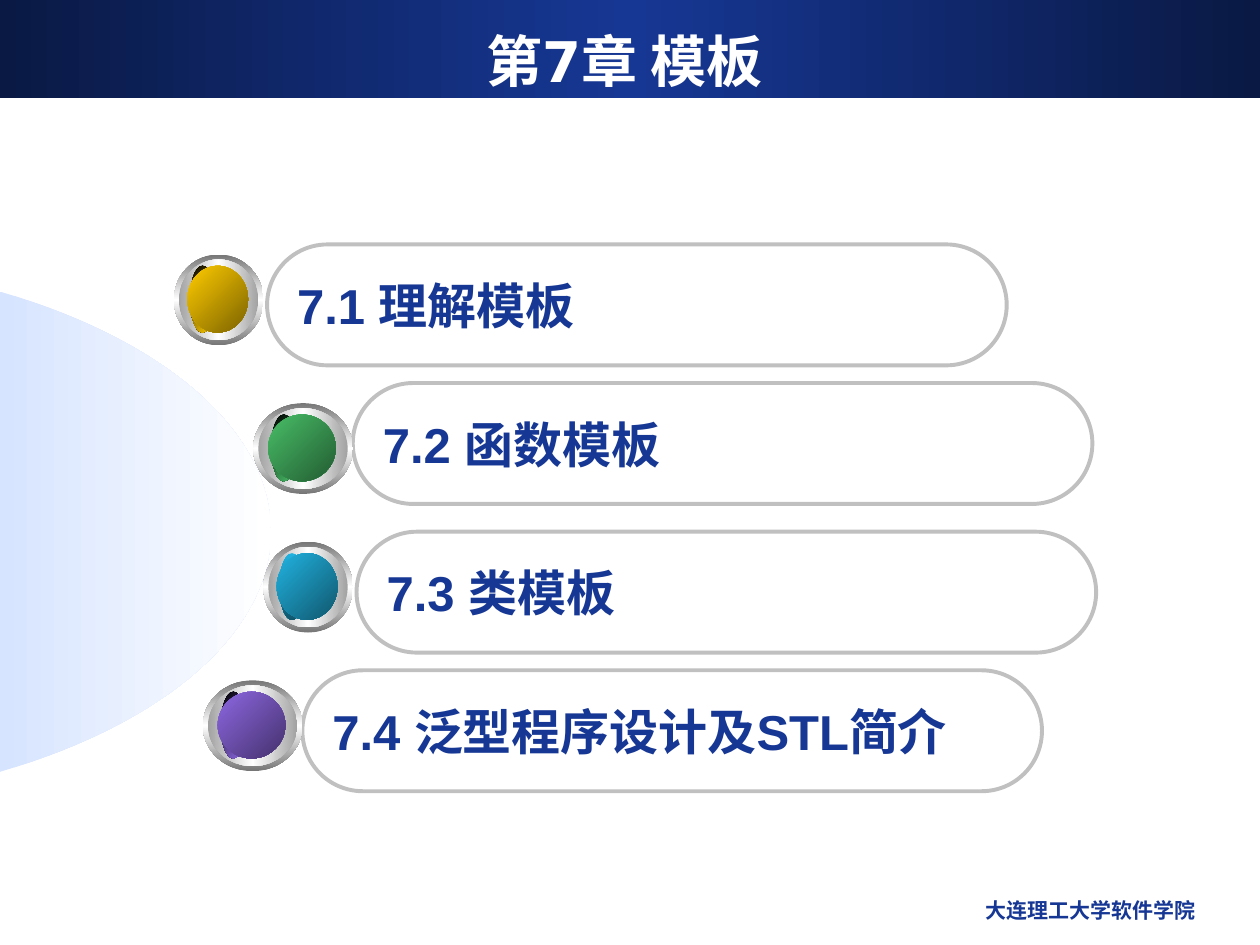
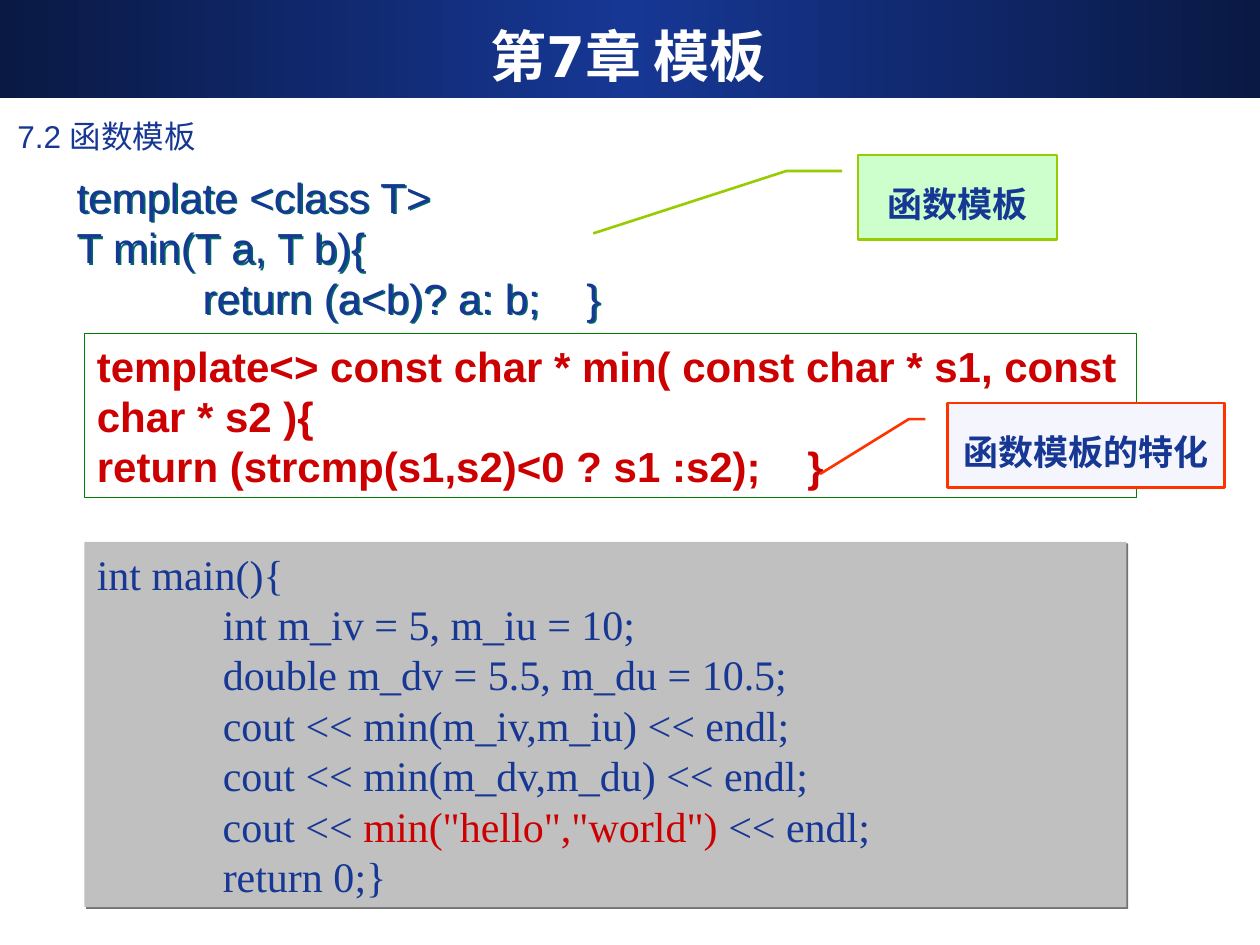
from dataclasses import dataclass
from math import cos, radians, sin
from typing import Optional

from lxml import etree
from pptx import Presentation
from pptx.dml.color import RGBColor
from pptx.enum import shapes, text
from pptx.oxml.ns import qn
from pptx.util import Inches, Pt

NAVY = RGBColor(0x16, 0x37, 0x94)
DARK_NAVY = RGBColor(0x0A, 0x19, 0x44)
WHITE = RGBColor(0xFF, 0xFF, 0xFF)
BLACK = RGBColor(0x00, 0x00, 0x00)
PALE_BLUE = RGBColor(0xD6, 0xE4, 0xFF)
SILVER = RGBColor(0xC0, 0xC0, 0xC0)
RIM_GRAY = RGBColor(0x76, 0x76, 0x76)
RING_GRAY = RGBColor(0xA2, 0xA2, 0xA2)
SHADOW_GRAY = RGBColor(0x73, 0x73, 0x73)
SHADOW_TEAL = RGBColor(0x00, 0x66, 0x66)
RED = RGBColor(0xCC, 0x00, 0x00)
GREEN = RGBColor(0x00, 0x80, 0x00)
LIME = RGBColor(0x99, 0xCC, 0x00)
MINT = RGBColor(0xCC, 0xFF, 0xCC)
ORANGE = RGBColor(0xFF, 0x33, 0x00)
LAVENDER = RGBColor(0xF5, 0xF6, 0xFD)
GOLD = RGBColor(0xFF, 0xCC, 0x00)
DARK_GOLD = RGBColor(0x7C, 0x63, 0x00)
LEAF = RGBColor(0x48, 0xBE, 0x67)
DARK_LEAF = RGBColor(0x23, 0x5C, 0x32)
CYAN = RGBColor(0x21, 0xB3, 0xE1)
DARK_CYAN = RGBColor(0x10, 0x57, 0x6D)
VIOLET = RGBColor(0x8D, 0x67, 0xE1)
DARK_VIOLET = RGBColor(0x45, 0x32, 0x6D)

CHAPTER = "第7章 模板"
LEFT, CENTER, RIGHT = text.PP_ALIGN.LEFT, text.PP_ALIGN.CENTER, text.PP_ALIGN.RIGHT
TOP, MIDDLE = text.MSO_ANCHOR.TOP, text.MSO_ANCHOR.MIDDLE


@dataclass(frozen=True)
class Box:
    """A rectangle on the slide, in inches."""

    left: float
    top: float
    width: float
    height: float

    def lengths(self) -> list:
        """Return the four measures as lengths."""
        return [Inches(v) for v in (self.left, self.top, self.width, self.height)]


@dataclass(frozen=True)
class Style:
    """How the text of one box is set."""

    size: float
    color: RGBColor = NAVY
    bold: bool = False
    font: str = "Arial"
    align: text.PP_ALIGN = LEFT
    anchor: text.MSO_ANCHOR = TOP
    wrap: bool = True
    spacing: Optional[float] = None


@dataclass(frozen=True)
class Section:
    """One entry of the chapter outline with its round button."""

    title: str
    pill_left: float
    pill_top: float
    button_left: float
    button_top: float
    button_width: float
    light: RGBColor
    dark: RGBColor
    edge: tuple
    edge_angle: int = 45


@dataclass(frozen=True)
class Callout:
    """A bordered label with a bent leader line."""

    label: str
    box: Box
    fill: RGBColor
    line: RGBColor
    leader: tuple


TITLE = Style(32, WHITE, True, "DejaVu Sans", CENTER, MIDDLE)
FOOTER = Style(12, bold=True, align=RIGHT)
PILL = Style(28, bold=True, anchor=MIDDLE, wrap=False)
SECTION_LABEL = Style(18)
TEMPLATE_CODE = Style(24, anchor=MIDDLE)
SPECIAL_CODE = Style(24, RED, True)
MAIN_CODE = Style(24, font="Times New Roman", anchor=MIDDLE)
CALLOUT = Style(20, bold=True, font="Times New Roman", align=CENTER, spacing=1.5)

SECTIONS = [
    Section("7.1 理解模板", 2.12, 1.94, 1.38, 2.02, 0.71, GOLD, DARK_GOLD, (BLACK, GOLD)),
    Section("7.2 函数模板", 2.8, 3.04, 2.01, 3.2, 0.79, LEAF, DARK_LEAF, (BLACK, LEAF)),
    Section("7.3 类模板", 2.83, 4.22, 2.09, 4.3, 0.71, CYAN, DARK_CYAN, (CYAN, DARK_CYAN), 90),
    Section("7.4 泛型程序设计及STL简介", 2.4, 5.32, 1.61, 5.4, 0.79, VIOLET, DARK_VIOLET,
            (BLACK, VIOLET)),
]

CALLOUTS = [
    Callout("函数模板", Box(6.81, 1.23, 1.58, 0.67), MINT, LIME,
            (0.19, -0.08, 0.19, -0.36, 0.93, -1.33)),
    Callout("函数模板的特化", Box(7.52, 3.2, 2.2, 0.67), LAVENDER, ORANGE,
            (0.19, -0.08, 0.19, -0.14, 0.84, -0.46)),
]

TEMPLATE_LINES = ["template <class T>", "T min(T a, T b){", "\treturn (a<b)? a: b;    }"]
SPECIAL_LINES = [
    "template<> const char * min( const char * s1, const char * s2 ){",
    "return (strcmp(s1,s2)<0 ? s1 :s2);    }",
]
HIGHLIGHT = 'min("hello","world")'
MAIN_LINES = [
    "int main(){",
    "\tint m_iv = 5, m_iu = 10;",
    "\tdouble m_dv = 5.5, m_du = 10.5;",
    "\tcout << min(m_iv,m_iu) << endl;",
    "\tcout << min(m_dv,m_du) << endl;",
    f"            cout << {HIGHLIGHT} << endl;",
    "\treturn 0;}",
]


def add_color(parent, color: RGBColor) -> None:
    """Append a plain colour element."""
    etree.SubElement(parent, qn("a:srgbClr"), val=str(color))


def paint_gradient(shape, colors: tuple, angle: int = 0) -> None:
    """Fill a shape with evenly spaced colours, without an outline."""
    shape.shadow.inherit = False
    shape.line.fill.background()
    shape.fill.gradient()
    gradient = shape._element.spPr.find(qn("a:gradFill"))
    gradient.clear()
    stops = etree.SubElement(gradient, qn("a:gsLst"))
    for index, color in enumerate(colors):
        position = 100000 * index // (len(colors) - 1)
        add_color(etree.SubElement(stops, qn("a:gs"), pos=str(position)), color)
    etree.SubElement(gradient, qn("a:lin"), ang=str(angle * 60000), scaled="0")


def cast_shadow(shape, color: RGBColor) -> None:
    """Give a shape a sharp shadow to its lower right."""
    shape.shadow.inherit = False
    effects = shape._element.spPr.find(qn("a:effectLst"))
    shadow = etree.SubElement(effects, qn("a:outerShdw"), dist=str(Pt(1.4)),
                              dir=str(45 * 60000), algn="ctr", rotWithShape="0")
    add_color(shadow, color)


def add_tab_stop(paragraph) -> None:
    """Set the code indent one inch in."""
    tabs = etree.SubElement(paragraph._p.get_or_add_pPr(), qn("a:tabLst"))
    etree.SubElement(tabs, qn("a:tab"), pos=str(Inches(1)), algn="l")


def write(shape, lines: list, style: Style, highlight: str = "") -> None:
    """Write lines into a shape, with one optional phrase in red."""
    frame = shape.text_frame
    frame.word_wrap = style.wrap
    frame.vertical_anchor = style.anchor
    for index, line in enumerate(lines):
        paragraph = frame.add_paragraph() if index else frame.paragraphs[0]
        if line.startswith("\t"):
            add_tab_stop(paragraph)
        paragraph.alignment = style.align
        if style.spacing:
            paragraph.line_spacing = style.spacing
        font = paragraph.font
        font.name, font.size, font.bold = style.font, Pt(style.size), style.bold
        font.color.rgb = style.color
        parts = line.partition(highlight) if highlight else (line,)
        for part in filter(None, parts):
            run = paragraph.add_run()
            run.text = part
            if part == highlight:
                run.font.color.rgb = RED


def add_text(slide, box: Box, lines: list, style: Style):
    """Add a text box and return it."""
    shape = slide.shapes.add_textbox(*box.lengths())
    write(shape, lines, style)
    return shape


def add_panel(slide, kind, box: Box, fill: Optional[RGBColor] = None,
              line: Optional[RGBColor] = None, width: float = 1):
    """Add a flat shape with an optional fill and outline."""
    shape = slide.shapes.add_shape(kind, *box.lengths())
    shape.shadow.inherit = False
    if fill is None:
        shape.fill.background()
    else:
        shape.fill.solid()
        shape.fill.fore_color.rgb = fill
    if line is None:
        shape.line.fill.background()
    else:
        shape.line.color.rgb = line
        shape.line.width = Pt(width)
    return shape


def start_slide(presentation, title_left: float, title_top: float):
    """Add a slide with the chapter band and title."""
    slide = presentation.slides.add_slide(presentation.slide_layouts[6])
    band = add_panel(slide, shapes.MSO_SHAPE.RECTANGLE, Box(0, 0, 10, 0.78))
    paint_gradient(band, (DARK_NAVY, NAVY, DARK_NAVY))
    add_text(slide, Box(title_left, title_top, 9.25, 0.62), [CHAPTER], TITLE)
    return slide


def add_dome(slide) -> None:
    """Draw the pale half-ellipse rising from the left edge."""
    points = [
        (Inches(-2.15 + 4.3 * cos(radians(angle))), Inches(4.22 + 2.2 * sin(radians(angle))))
        for angle in range(-60, 61, 2)
    ]
    builder = slide.shapes.build_freeform(*points[0])
    builder.add_line_segments(points[1:], close=True)
    paint_gradient(builder.convert_to_shape(), (PALE_BLUE, WHITE))


def add_button(slide, section: Section) -> None:
    """Draw the metal rim, ring, edge and coloured core of a button."""
    left, top, width = section.button_left, section.button_top, section.button_width
    layers = [
        (Box(left, top, width, 0.72), (RIM_GRAY, WHITE, RIM_GRAY), 90),
        (Box(left + 0.04, top + 0.04, width - 0.08, 0.64), (RING_GRAY, WHITE, RING_GRAY), 0),
        (Box(left + 0.18 * width, top + 0.09, 0.2, 0.53), section.edge, section.edge_angle),
        (Box(left + 0.15 * width, top + 0.09, 0.68 * width, 0.53),
         (section.light, section.dark), 45),
    ]
    for box, colors, angle in layers:
        paint_gradient(add_panel(slide, shapes.MSO_SHAPE.OVAL, box), colors, angle)


def add_section(slide, section: Section) -> None:
    """Draw one outline entry."""
    box = Box(section.pill_left, section.pill_top, 5.87, 0.96)
    pill = add_panel(slide, shapes.MSO_SHAPE.ROUNDED_RECTANGLE, box, line=SILVER, width=2.25)
    pill.adjustments[0] = 0.5
    write(pill, [section.title], PILL)
    add_button(slide, section)


def add_callout(slide, callout: Callout) -> None:
    """Draw a label with its leader line."""
    shape = add_panel(slide, shapes.MSO_SHAPE.LINE_CALLOUT_2, callout.box,
                      callout.fill, callout.line, 1.5)
    for index, value in enumerate(callout.leader):
        shape.adjustments[index] = value
    write(shape, [callout.label], CALLOUT)


def build_outline(presentation) -> None:
    """Build the chapter outline."""
    slide = start_slide(presentation, 0.33, 0.17)
    add_text(slide, Box(6.42, 7.07, 3.17, 0.35), ["大连理工大学软件学院"], FOOTER)
    add_dome(slide)
    for section in SECTIONS:
        add_section(slide, section)


def build_code(presentation) -> None:
    """Build the function template example."""
    slide = start_slide(presentation, 0.36, 0.13)
    add_text(slide, Box(0.04, 0.88, 9.25, 0.41), [SECTIONS[1].title], SECTION_LABEL)
    template = add_text(slide, Box(0.51, 1.31, 8.74, 1.3), TEMPLATE_LINES, TEMPLATE_CODE)
    cast_shadow(template, SHADOW_TEAL)
    rectangle = shapes.MSO_SHAPE.RECTANGLE
    main_code = add_panel(slide, rectangle, Box(0.67, 4.3, 8.27, 2.9), SILVER)
    cast_shadow(main_code, SHADOW_GRAY)
    write(main_code, MAIN_LINES, MAIN_CODE, HIGHLIGHT)
    special = add_panel(slide, rectangle, Box(0.67, 2.65, 8.35, 1.3), WHITE, GREEN, 0.75)
    write(special, SPECIAL_LINES, SPECIAL_CODE)
    for callout in CALLOUTS:
        add_callout(slide, callout)


def main() -> None:
    """Build and save the presentation."""
    presentation = Presentation()
    presentation.slide_width, presentation.slide_height = Inches(10), Inches(7.5)
    build_outline(presentation)
    build_code(presentation)
    presentation.save("out.pptx")


if __name__ == "__main__":
    main()
